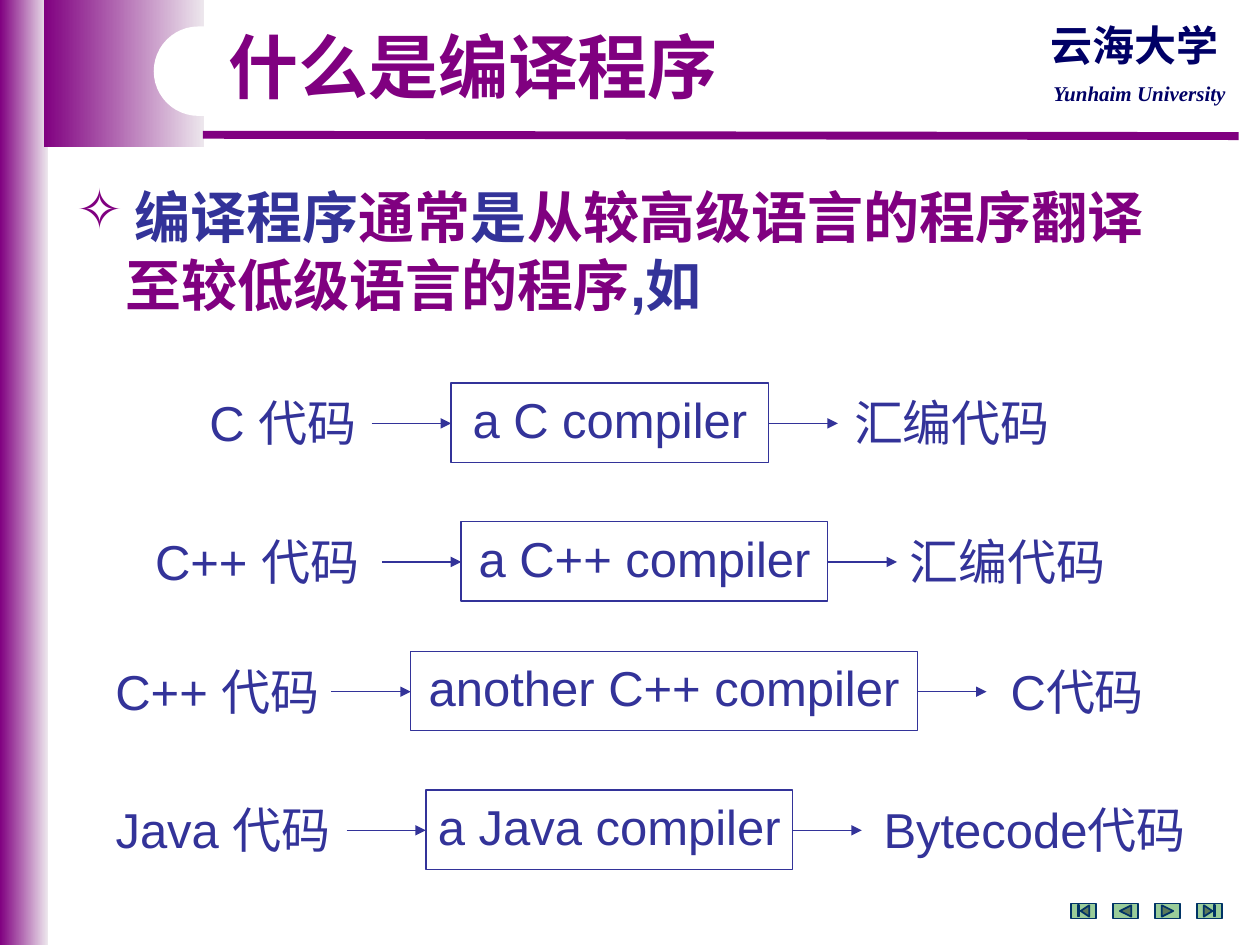
import pptx
import pptx.util
import pptx.dml.color
import pptx.enum.shapes
import pptx.enum.text
import pptx.oxml
import pptx.oxml.ns

Inches = pptx.util.Inches
Pt = pptx.util.Pt
RGBColor = pptx.dml.color.RGBColor
SHAPE = pptx.enum.shapes.MSO_SHAPE
CENTER = pptx.enum.text.PP_ALIGN.CENTER
MIDDLE = pptx.enum.text.MSO_ANCHOR.MIDDLE
qn = pptx.oxml.ns.qn

PURPLE = RGBColor(0x80, 0x00, 0x80)
PALE = RGBColor(0xED, 0xE7, 0xED)
INDIGO = RGBColor(0x33, 0x33, 0x99)
NAVY = RGBColor(0x00, 0x00, 0x66)
WHITE = RGBColor(0xFF, 0xFF, 0xFF)
GREEN = RGBColor(0x99, 0xCC, 0x99)
TEAL = RGBColor(0x00, 0x33, 0x66)
CJK = "Noto Sans CJK SC"


class Painter:
    """Draws styled elements on the current slide."""

    def __init__(self, slide):
        self.slide = slide

    def run(self, paragraph, text, size, color, font="Arial", bold=False, italic=False):
        run = paragraph.add_run()
        run.text = text
        run.font.size = Pt(size)
        run.font.name = font
        run.font.bold = bold
        run.font.italic = italic
        run.font.color.rgb = color
        east_asian = pptx.oxml.parse_xml(
            f'<a:ea {pptx.oxml.ns.nsdecls("a")} typeface="{CJK}"/>')
        run.font.fill
        run.element if hasattr(run, "element") else None
        properties = paragraph.runs[-1].font
        latin = paragraph.runs[-1]._r.rPr.find(qn("a:latin"))
        latin.addnext(east_asian)
        return properties

    def line_of_text(self, shape, text, size, color, **style):
        frame = shape.text_frame
        frame.word_wrap = False
        frame.vertical_anchor = MIDDLE
        paragraph = frame.paragraphs[0]
        paragraph.alignment = CENTER
        paragraph.line_spacing = 0.9
        self.run(paragraph, text, size, color, **style)

    def label(self, left, top, width, height, text, size=28, color=INDIGO, **style):
        box = self.slide.shapes.add_textbox(
            Inches(left), Inches(top), Inches(width), Inches(height))
        self.line_of_text(box, text, size, color, **style)

    def shape(self, kind, left, top, width, height, fill=WHITE, line=None, weight=1):
        shape = self.slide.shapes.add_shape(
            kind, Inches(left), Inches(top), Inches(width), Inches(height))
        shape.shadow.inherit = False
        if fill is None:
            shape.fill.gradient()
            shape.fill.gradient_angle = 0
            for stop, color in zip(shape.fill.gradient_stops, (PURPLE, PALE)):
                stop.color.rgb = color
        else:
            shape.fill.solid()
            shape.fill.fore_color.rgb = fill
        if line is None:
            shape.line.fill.background()
        else:
            shape.line.color.rgb = line
            shape.line.width = Pt(weight)
        return shape

    def line(self, x1, y1, x2, y2, color=INDIGO, weight=0.75, arrow=True):
        line = self.slide.shapes.add_connector(
            pptx.enum.shapes.MSO_CONNECTOR.STRAIGHT,
            Inches(x1), Inches(y1), Inches(x2), Inches(y2))
        line.line.color.rgb = color
        line.line.width = Pt(weight)
        properties = line.element.spPr
        if arrow:
            head = pptx.oxml.parse_xml(
                f'<a:tailEnd {pptx.oxml.ns.nsdecls("a")} type="triangle"/>')
            properties.find(qn("a:ln")).append(head)
        properties.append(pptx.oxml.parse_xml(
            f'<a:effectLst {pptx.oxml.ns.nsdecls("a")}/>'))

    def title(self, left, top, width, height, text):
        title = self.slide.shapes.title
        title.left, title.top = Inches(left), Inches(top)
        title.width, title.height = Inches(width), Inches(height)
        self.line_of_text(title, text, 40, PURPLE, bold=True)
        title.element.getparent().append(title.element)

    def statement(self, left, top, width, height, lines):
        box = self.slide.shapes.add_textbox(
            Inches(left), Inches(top), Inches(width), Inches(height))
        frame = box.text_frame
        frame.word_wrap = True
        for index, (margin, bullet, parts) in enumerate(lines):
            paragraph = frame.add_paragraph() if index else frame.paragraphs[0]
            paragraph.line_spacing = Pt(38.9)
            properties = paragraph._p.get_or_add_pPr()
            properties.set("marL", str(Inches(margin)))
            properties.set("indent", str(-Inches(margin) if bullet else 0))
            if bullet:
                for xml in (f'<a:buClr {pptx.oxml.ns.nsdecls("a")}>'
                            f'<a:srgbClr val="{PURPLE}"/></a:buClr>',
                            f'<a:buChar {pptx.oxml.ns.nsdecls("a")} char="{bullet}"/>'):
                    properties.append(pptx.oxml.parse_xml(xml))
            for text, color in parts:
                self.run(paragraph, text, 32, color, bold=True)

    def compilation(self, top, source, compiler, target):
        source_text, source_left, source_width = source
        compiler_text, left, width = compiler
        target_text, target_left, target_width = target
        middle, right = top + 0.32, left + width
        self.label(source_left, top + 0.08, source_width, 0.52, source_text)
        self.label(target_left, top + 0.08, target_width, 0.52, target_text)
        box = self.shape(SHAPE.RECTANGLE, left, top, width, 0.63, WHITE, INDIGO, 0.75)
        self.line_of_text(box, compiler_text, 28, INDIGO)
        self.line(left - 0.63, middle, left, middle)
        self.line(right, middle, right + 0.55, middle)


COMPILATIONS = [
    (3.04, ("C 代码", 1.46, 1.57), ("a C compiler", 3.58, 2.52), ("汇编代码", 6.65, 1.81)),
    (4.14, ("C++ 代码", 0.98, 2.12), ("a C++ compiler", 3.66, 2.91), ("汇编代码", 7.05, 1.89)),
    (5.17, ("C++ 代码", 0.74, 1.97), ("another C++ compiler", 3.26, 4.02), ("C代码", 7.84, 1.42)),
    (6.27, ("Java 代码", 0.71, 2.12), ("a Java compiler", 3.38, 2.91), ("Bytecode代码", 6.77, 2.88)),
]
STATEMENT = [
    (0.46, "✧", [("编译程序", INDIGO), ("通常", PURPLE), ("是", INDIGO),
                 ("从较高级语言的程序翻译", PURPLE)]),
    (0.39, None, [("至较低级语言的程序", PURPLE), (",如".replace(",", ","), INDIGO)]),
]
BUTTONS = [SHAPE.ACTION_BUTTON_BEGINNING, SHAPE.ACTION_BUTTON_BACK_OR_PREVIOUS,
           SHAPE.ACTION_BUTTON_FORWARD_OR_NEXT, SHAPE.ACTION_BUTTON_END]

deck = pptx.Presentation()
deck.slide_width, deck.slide_height = Inches(10), Inches(7.5)
painter = Painter(deck.slides.add_slide(deck.slide_layouts[5]))

painter.shape(SHAPE.RECTANGLE, 0, 0, 0.38, 7.5, fill=None)
painter.shape(SHAPE.RECTANGLE, 0.35, 0, 1.27, 1.17, fill=None)
painter.line(1.61, 1.07, 9.83, 1.08, PURPLE, 4.5, arrow=False)
notch = painter.shape(SHAPE.ROUNDED_RECTANGLE, 1.22, 0.21, 3.62, 0.71)
notch.adjustments[0] = 0.5
painter.label(8.23, 0.6, 1.63, 0.3, "Yunhaim University", 12, NAVY,
              font="Times New Roman", bold=True, italic=True)
painter.label(8.23, 0.13, 1.55, 0.5, "云海大学", 24, NAVY, font=CJK, bold=True)
for position, button in enumerate(BUTTONS):
    painter.shape(button, 8.5 + position / 3, 7.17, 0.2, 0.12, GREEN, TEAL)
painter.title(1.65, 0.21, 4.21, 0.7, "什么是编译程序")
painter.statement(0.51, 1.39, 8.9, 1.17, STATEMENT)
for compilation in COMPILATIONS:
    painter.compilation(*compilation)

deck.save("out.pptx")
